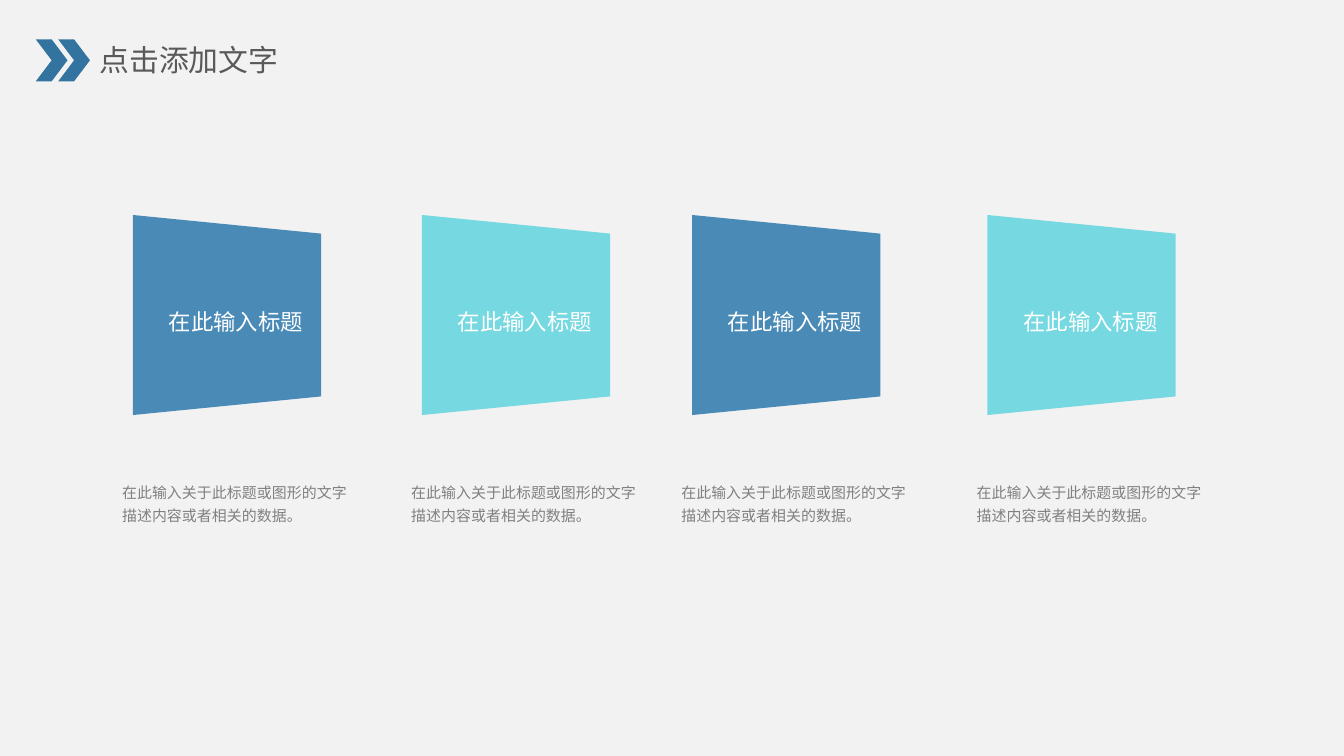
from pptx import Presentation
from pptx.dml.color import RGBColor
from pptx.enum.shapes import MSO_SHAPE as Shape
from pptx.enum.text import MSO_ANCHOR as Anchor, MSO_AUTO_SIZE as AutoSize, PP_ALIGN as Align
from pptx.util import Pt

HEADING = "点击添加文字"
CARD_TITLE = "在此输入标题"
CARD_CAPTION = "在此输入关于此标题或图形的文字描述内容或者相关的数据。"
# Left edge of each caption, and panel colour
CARDS = [
    (60.4, "blue"),
    (215.3, "aqua"),
    (360, "blue"),
    (518.2, "aqua"),
]
COLORS = {
    "background": "F2F2F2",
    "chevron": "33739F",
    "blue": "4A8AB7",
    "aqua": "76D8E0",
    "heading": "595959",
    "caption": "808080",
    "white": "FFFFFF",
}

PANEL_OFFSET, PANEL_TOP = 10.8, 115.2
PANEL_WIDTH, PANEL_HEIGHT, PANEL_SLANT = 100.8, 107.2, 10
CAPTION_TOP, CAPTION_WIDTH, CAPTION_HEIGHT = 254.2, 133.2, 29.5


def rgb(name):
    return RGBColor.from_string(COLORS[name])


def write(shape, text, size, color, font="Arial", align=Align.LEFT, anchor=Anchor.TOP,
          line_spacing=1.0, space_before=0, left_inset=5, auto_size=AutoSize.NONE):
    frame = shape.text_frame
    frame.word_wrap = True
    frame.auto_size = auto_size
    frame.vertical_anchor = anchor
    frame.margin_left, frame.margin_right = Pt(left_inset), Pt(5)
    frame.margin_top = frame.margin_bottom = Pt(2.7)
    paragraph = frame.paragraphs[0]
    paragraph.alignment = align
    paragraph.line_spacing = line_spacing
    paragraph.space_before = Pt(space_before)
    run = paragraph.add_run()
    run.text = text
    run.font.name = font
    run.font.size = Pt(size)
    run.font.color.rgb = rgb(color)


def paint(shape, color):
    shape.shadow.inherit = False
    shape.fill.solid()
    shape.fill.fore_color.rgb = rgb(color)
    shape.line.fill.background()


def add_panel(slide, left, color):
    """Draw a panel that narrows towards its right edge, as if turned away."""
    right, bottom = left + PANEL_WIDTH, PANEL_TOP + PANEL_HEIGHT
    outline = slide.shapes.build_freeform(Pt(left), Pt(PANEL_TOP))
    outline.add_line_segments([
        (Pt(right), Pt(PANEL_TOP + PANEL_SLANT)),
        (Pt(right), Pt(bottom - PANEL_SLANT)),
        (Pt(left), Pt(bottom)),
    ])
    panel = outline.convert_to_shape()
    paint(panel, color)
    return panel


prs = Presentation()
prs.slide_width, prs.slide_height = Pt(720), Pt(405)
slide = prs.slides.add_slide(prs.slide_layouts[6])
slide.background.fill.solid()
slide.background.fill.fore_color.rgb = rgb("background")

heading = slide.shapes.add_textbox(Pt(48.4), Pt(19.4), Pt(141), Pt(24.5))
write(heading, HEADING, 16, "heading", font="Noto Sans CJK SC",
      auto_size=AutoSize.SHAPE_TO_FIT_TEXT)

for chevron_left in (19.2, 31.2):
    chevron = slide.shapes.add_shape(Shape.CHEVRON, Pt(chevron_left), Pt(21.1), Pt(17), Pt(22.5))
    paint(chevron, "chevron")

for caption_left, color in CARDS:
    panel = add_panel(slide, caption_left + PANEL_OFFSET, color)
    write(panel, CARD_TITLE, 12, "white", align=Align.CENTER, anchor=Anchor.MIDDLE,
          line_spacing=1.5, left_inset=14.6)
    caption = slide.shapes.add_textbox(Pt(caption_left), Pt(CAPTION_TOP),
                                       Pt(CAPTION_WIDTH), Pt(CAPTION_HEIGHT))
    write(caption, CARD_CAPTION, 8, "caption", line_spacing=1.25, space_before=4.5,
          auto_size=AutoSize.SHAPE_TO_FIT_TEXT)

prs.save("out.pptx")
